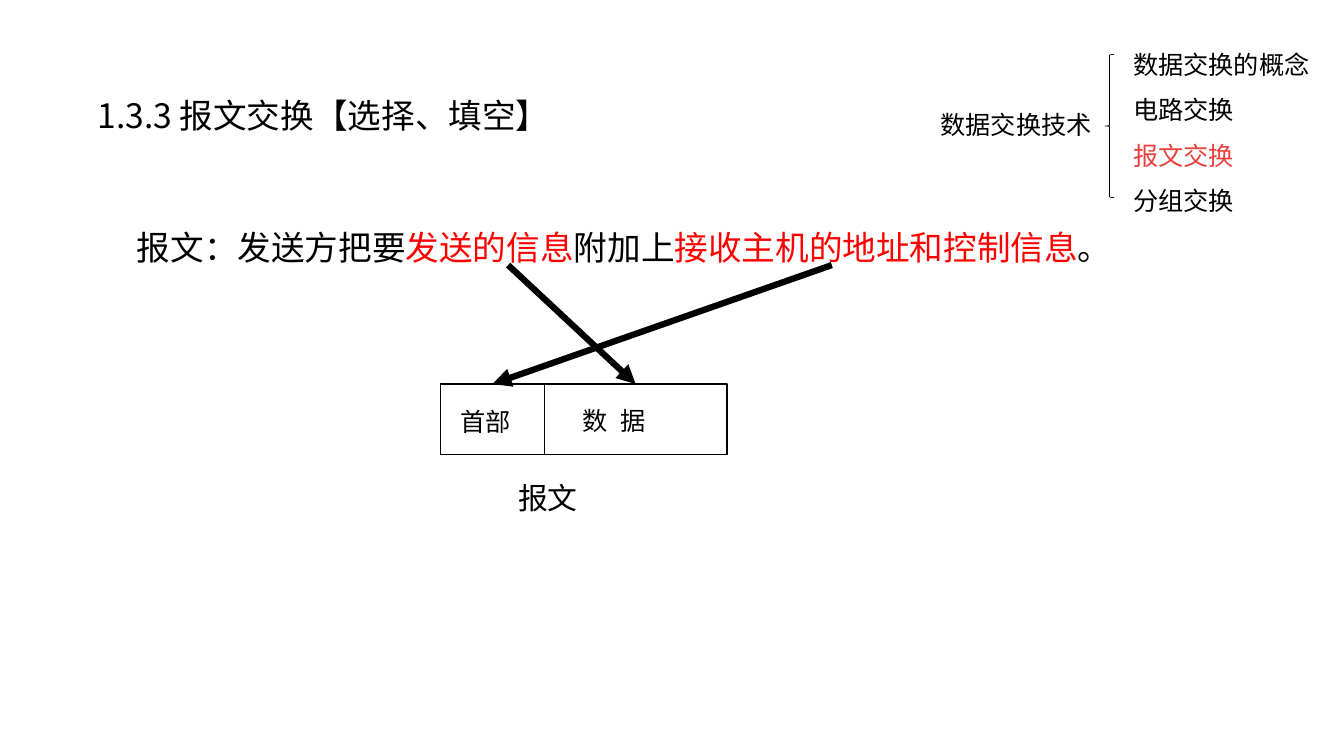
from lxml.etree import SubElement
from pptx import Presentation
from pptx.dml.color import RGBColor
from pptx.enum.shapes import MSO_CONNECTOR as Connector, MSO_SHAPE as Shape
from pptx.enum.text import MSO_AUTO_SIZE as AutoSize
from pptx.oxml.ns import qn
from pptx.util import Inches, Pt

BLACK = RGBColor(0x00, 0x00, 0x00)
WHITE = RGBColor(0xFF, 0xFF, 0xFF)
RED = RGBColor(0xFF, 0x00, 0x00)
CORAL = RGBColor(0xE9, 0x40, 0x3C)
LATIN_FONT, CHINESE_FONT = "Arial", "Noto Sans CJK SC"

TITLE = [[("1.3.3 报文交换【选择、填空】", BLACK)]]
DEFINITION = [[
    ("报文：发送方把要", BLACK),
    ("发送的信息", RED),
    ("附加上", BLACK),
    ("接收主机的地址和控制信息", RED),
    ("。", BLACK),
]]
TOPIC = [[("数据交换技术", BLACK)]]
SUBTOPICS = [
    [("数据交换的概念", BLACK)],
    [("电路交换", BLACK)],
    [("报文交换", CORAL)],
    [("分组交换", BLACK)],
]
HEADER = [[("首部", BLACK)]]
DATA = [[("数 据", BLACK)]]
MESSAGE = [[("报文", BLACK)]]

FIELD_TOP, FIELD_HEIGHT = 3.81, 0.7
HEADER_LEFT, HEADER_WIDTH, DATA_WIDTH = 4.37, 1.03, 1.81
DATA_LEFT = HEADER_LEFT + HEADER_WIDTH
ARROW_TOP = 2.63
HEADER_MIDDLE = HEADER_LEFT + HEADER_WIDTH / 2
DATA_MIDDLE = DATA_LEFT + DATA_WIDTH / 2

TEXTS = [
    (TOPIC, (9.23, 1.04, 2.51, 0.4), 18, {}),
    (SUBTOPICS, (11.14, 0.29, 2.08, 1.92), 18, {"line_spacing": 1.5}),
    (DATA, (5.68, 3.97, 1.52, 0.4), 18, {"tracking": 250}),
    (HEADER, (4.47, 3.98, 0.79, 0.4), 18, {}),
    (MESSAGE, (5.04, 4.71, 0.99, 0.46), 21.3, {}),
    (TITLE, (0.87, 0.69, 4.76, 0.71), 24,
     {"line_spacing": 1.5, "font": CHINESE_FONT, "wrap": False}),
    (DEFINITION, (1.26, 2, 9.56, 0.63), 24, {"line_spacing": 1.5}),
]
OUTLINES = [
    (Shape.LEFT_BRACE, (10.96, 0.54, 0.09, 1.42), 0.5, None),
    (Shape.RECTANGLE, (HEADER_LEFT, FIELD_TOP, HEADER_WIDTH, FIELD_HEIGHT), 1, WHITE),
    (Shape.RECTANGLE, (DATA_LEFT, FIELD_TOP, DATA_WIDTH, FIELD_HEIGHT), 1, WHITE),
]
ARROWS = [(5.04, DATA_MIDDLE), (8.25, HEADER_MIDDLE)]


def add_outline(page, kind, place, weight, fill):
    shape = page.shapes.add_shape(kind, *map(Inches, place))
    shape.shadow.inherit = False
    if fill is None:
        shape.fill.background()
    else:
        shape.fill.solid()
        shape.fill.fore_color.rgb = fill
    shape.line.color.rgb = BLACK
    shape.line.width = Pt(weight)


def add_text(page, lines, place, size, line_spacing=None,
             font=LATIN_FONT, wrap=True, tracking=None):
    box = page.shapes.add_textbox(*map(Inches, place))
    frame = box.text_frame
    frame.word_wrap = wrap
    frame.auto_size = AutoSize.SHAPE_TO_FIT_TEXT
    for index, spans in enumerate(lines):
        para = frame.add_paragraph() if index else frame.paragraphs[0]
        para.line_spacing = line_spacing
        for words, color in spans:
            span = para.add_run()
            span.text = words
            span.font.size = Pt(size)
            span.font.name = font
            span.font.color.rgb = color
            properties = span.font._element
            SubElement(properties, qn("a:ea")).set("typeface", CHINESE_FONT)
            if tracking:
                properties.set("spc", str(tracking))


def add_arrow(page, start, end):
    arrow = page.shapes.add_connector(
        Connector.STRAIGHT, Inches(start), Inches(ARROW_TOP),
        Inches(end), Inches(FIELD_TOP))
    arrow.line.color.rgb = BLACK
    arrow.line.width = Pt(4.5)
    SubElement(arrow.line._get_or_add_ln(), qn("a:tailEnd")).set("type", "triangle")
    SubElement(arrow._element.spPr, qn("a:effectLst"))


def main():
    deck = Presentation()
    deck.slide_width, deck.slide_height = Inches(13.33), Inches(7.5)
    page = deck.slides.add_slide(deck.slide_layouts[6])
    for outline in OUTLINES:
        add_outline(page, *outline)
    for lines, place, size, options in TEXTS:
        add_text(page, lines, place, size, **options)
    for start, end in ARROWS:
        add_arrow(page, start, end)
    deck.save("out.pptx")


if __name__ == "__main__":
    main()
